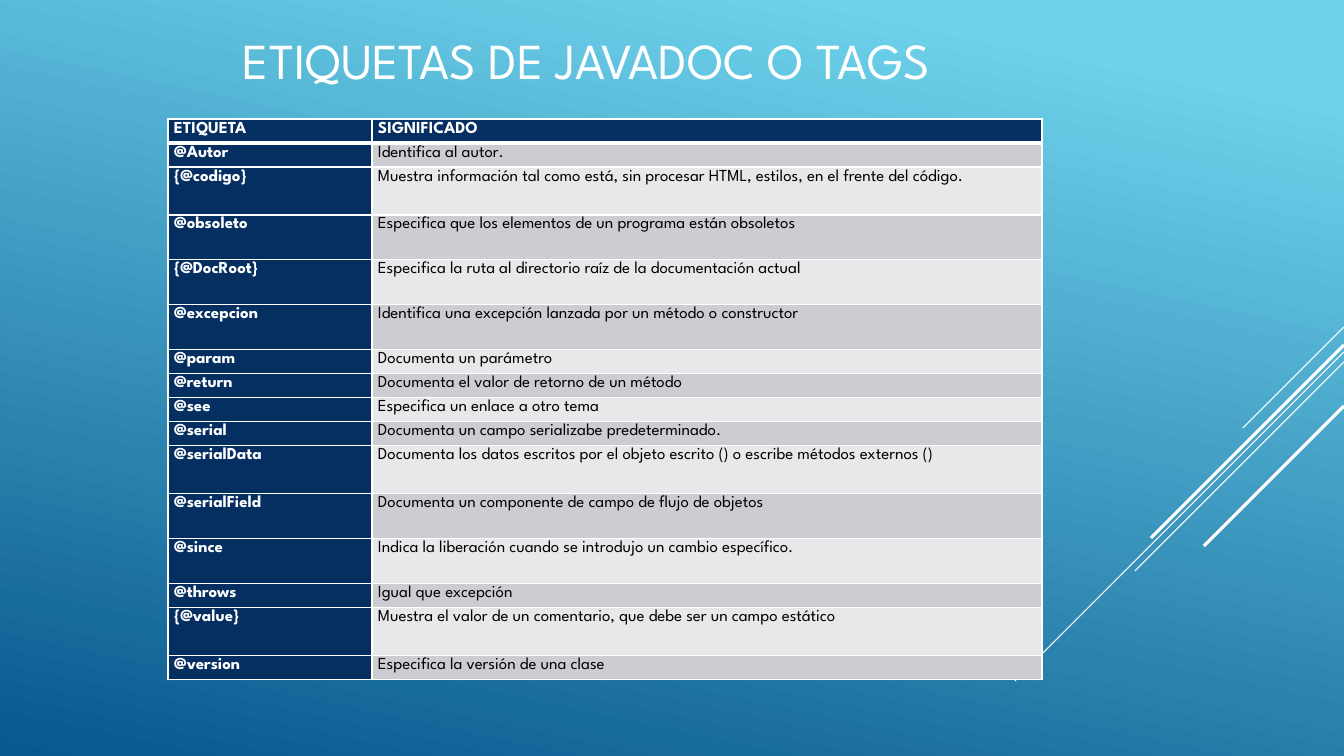
"""Builds a slide with a table of Javadoc tags and their meanings."""
from lxml.etree import SubElement
from pptx import Presentation
from pptx.dml.color import RGBColor
from pptx.enum.shapes import MSO_CONNECTOR
from pptx.enum.text import MSO_ANCHOR
from pptx.oxml.ns import qn
from pptx.util import Pt

SCALE = 914400 / 100.8
FONT = "League Spartan"
COLORS = {"white": "FFFFFF", "black": "000000", "navy": "052F61", "dark": "CCCDD2",
          "light": "E7E8EA", "sky": "6ED2EB", "deep": "06588E"}


def px(count):
    return round(count * SCALE)


def write(frame, text, size=12, color="white", bold=False, spacing=1.0):
    frame.word_wrap = True
    para = frame.paragraphs[0]
    para.line_spacing = spacing
    run = para.add_run()
    run.text = text
    run.font.name = FONT
    run.font.size = Pt(size)
    run.font.bold = bold
    run.font.color.rgb = RGBColor.from_string(COLORS[color])


deck = Presentation()
deck.slide_width, deck.slide_height = px(1344), px(756)
slide = deck.slides.add_slide(deck.slide_layouts[6])

back = slide.background.fill
back.gradient()
back.gradient_angle = 258
for stop, (place, color) in zip(back.gradient_stops, [(0.1, "sky"), (1, "deep")]):
    stop.position = place
    stop.color.rgb = RGBColor.from_string(COLORS[color])

streaks = [(327, 101, 0.75), (352, 329, 0.75), (362, 209, 0.75), (345, 193, 2.25), (406, 140, 2.25)]
for top, reach, width in streaks:
    streak = slide.shapes.add_connector(
        MSO_CONNECTOR.STRAIGHT, px(1344), px(top), px(1344 - reach), px(top + reach))
    streak.line.color.rgb = RGBColor.from_string(COLORS["white"])
    streak.line.width = Pt(width)
    SubElement(streak._element.spPr, qn("a:effectLst"))

title = slide.shapes.add_textbox(px(233), px(0), px(940), px(118)).text_frame
title.vertical_anchor = MSO_ANCHOR.MIDDLE
write(title, "ETIQUETAS DE JAVADOC O TAGS", size=36)

rows = [
    ("ETIQUETA", "SIGNIFICADO", 24),
    ("@Autor", "Identifica al autor.", 24),
    ("{@codigo}", "Muestra información tal como está, sin procesar HTML, estilos, "
     "en el frente del código.", 48),
    ("@obsoleto", "Especifica que los elementos de un programa están obsoletos", 45),
    ("{@DocRoot}", "Especifica la ruta al directorio raíz de la documentación actual", 45),
    ("@excepcion", "Identifica una excepción lanzada por un método o constructor", 45),
    ("@param", "Documenta un parámetro", 24),
    ("@return", "Documenta el valor de retorno de un método", 24),
    ("@see", "Especifica un enlace a otro tema", 24),
    ("@serial", "Documenta un campo serializabe predeterminado.", 24),
    ("@serialData", "Documenta los datos escritos por el objeto escrito () "
     "o escribe métodos externos ()", 48),
    ("@serialField", "Documenta un componente de campo de flujo de objetos", 45),
    ("@since", "Indica la liberación cuando se introdujo un cambio específico.", 45),
    ("@throws", "Igual que excepción", 24),
    ("{@value}", "Muestra el valor de un comentario, que debe ser un campo estático", 48),
    ("@version", "Especifica la versión de una clase", 24),
]
height = sum(row[2] for row in rows)
table = slide.shapes.add_table(len(rows), 2, px(168), px(119), px(874), px(height)).table
table.columns[0].width, table.columns[1].width = px(204), px(670)

for r, (tag, sense, tall) in enumerate(rows):
    table.rows[r].height = px(tall)
    for c, text in enumerate((tag, sense)):
        cell = table.cell(r, c)
        cell.margin_left = cell.margin_right = px(6)
        cell.margin_top = cell.margin_bottom = 0
        head = r == 0 or c == 0
        write(cell.text_frame, text, color="white" if head else "black", bold=head, spacing=1.15)
        for side in "LRTB":
            thick = (r, side) in [(0, "B"), (1, "T")]
            edge = SubElement(cell._tc.get_or_add_tcPr(), qn(f"a:ln{side}"), w=str(Pt(3 if thick else 1)))
            paint = SubElement(edge, qn("a:solidFill"))
            SubElement(paint, qn("a:srgbClr"), val=COLORS["white"])
        shade = "navy" if head else "dark" if r % 2 else "light"
        cell.fill.solid()
        cell.fill.fore_color.rgb = RGBColor.from_string(COLORS[shade])

deck.save("out.pptx")
